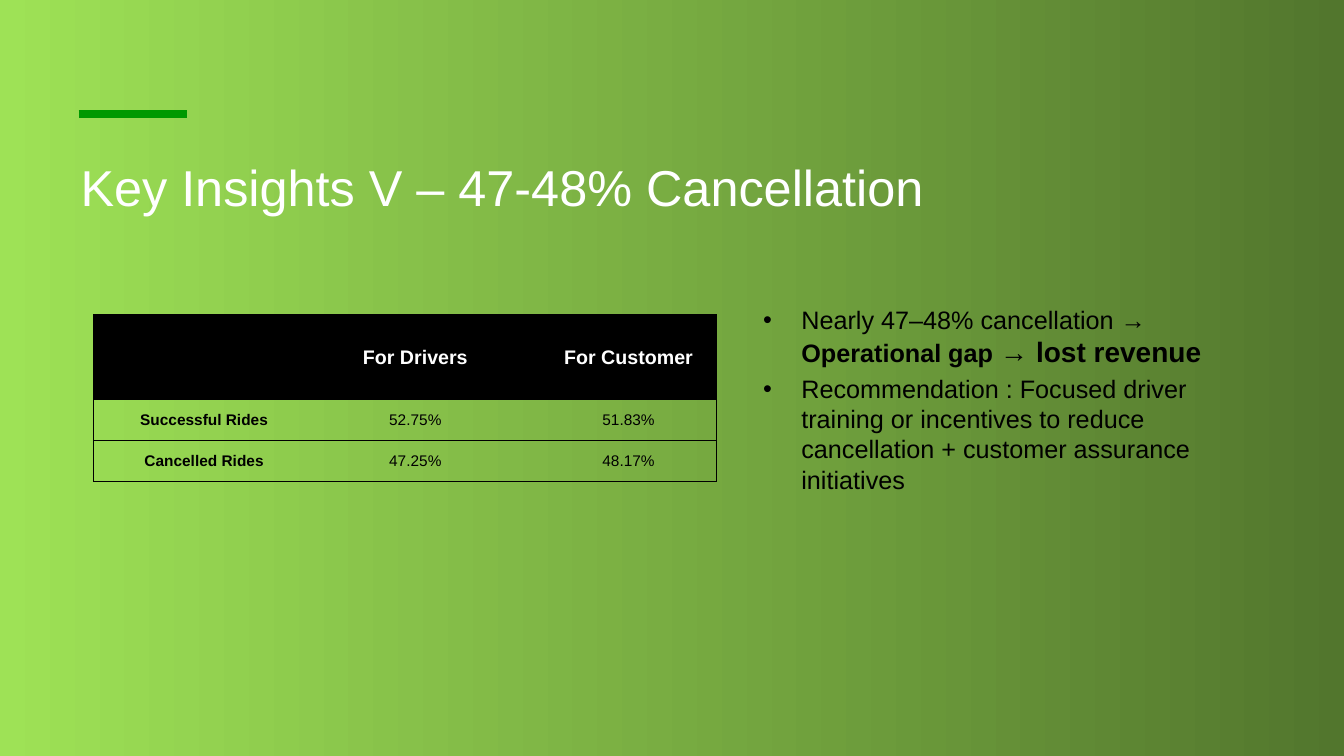
from pptx import Presentation
from pptx.dml.color import RGBColor
from pptx.enum.shapes import MSO_CONNECTOR
from pptx.enum.text import MSO_ANCHOR, PP_ALIGN
from pptx.oxml.ns import qn
from pptx.util import Inches, Pt
from lxml.etree import SubElement

COLORS = {
    "light": "9EE256",
    "dark": "52762D",
    "accent": "009900",
    "black": "000000",
    "white": "FFFFFF",
}


def format_run(run, size, color, bold=False):
    run.font.name = "Arial"
    run.font.size = Pt(size)
    run.font.bold = bold
    run.font.color.rgb = RGBColor.from_string(COLORS[color])


def add_border(cell, side):
    line = SubElement(cell._tc.get_or_add_tcPr(), qn(f"a:ln{side}"), w=str(Pt(0.5)))
    fill = SubElement(line, qn("a:solidFill"))
    SubElement(fill, qn("a:srgbClr"), val=COLORS["black"])


presentation = Presentation()
presentation.slide_width = Inches(13.33)
presentation.slide_height = Inches(7.5)
slide = presentation.slides.add_slide(presentation.slide_layouts[6])

# Background gradient
background = slide.background.fill
background.gradient()
background.gradient_angle = 0
for stop, position, color in zip(background.gradient_stops, (0, 1), ("light", "dark")):
    stop.position = position
    stop.color.rgb = RGBColor.from_string(COLORS[color])

# Title
title = slide.shapes.add_textbox(Inches(0.7), Inches(1.5), Inches(11.91), Inches(1.09))
title.text_frame.word_wrap = True
title.text_frame.text = "Key Insights V – 47-48% Cancellation"
format_run(title.text_frame.paragraphs[0].runs[0], 36, "white")

# Accent line
accent = slide.shapes.add_connector(
    MSO_CONNECTOR.STRAIGHT, Inches(0.78), Inches(1.13), Inches(1.85), Inches(1.13))
accent.line.color.rgb = RGBColor.from_string(COLORS["accent"])
accent.line.width = Pt(6)
SubElement(accent._element.spPr, qn("a:effectLst"))

# Insight bullets: text, size, bold
insights = [
    [("Nearly 47–48% cancellation → ", 18, False),
     ("Operational gap ", 18, True),
     ("→ ", 20, False),
     ("lost revenue", 20, True)],
    [("Recommendation : Focused driver training or incentives to reduce "
      "cancellation + customer assurance initiatives", 18, False)],
]
body = slide.shapes.add_textbox(Inches(7.47), Inches(2.97), Inches(5.14), Inches(3.92))
body.text_frame.word_wrap = True
for index, insight in enumerate(insights):
    paragraph = body.text_frame.paragraphs[0] if index == 0 else body.text_frame.add_paragraph()
    paragraph.space_before = Pt(3.6)
    properties = paragraph._p.get_or_add_pPr()
    properties.set("marL", str(Inches(0.38)))
    properties.set("indent", str(-Inches(0.38)))
    SubElement(properties, qn("a:buFont"), typeface="Arial")
    SubElement(properties, qn("a:buChar"), char="•")
    for text, size, bold in insight:
        run = paragraph.add_run()
        run.text = text
        format_run(run, size, "black", bold)

# Ride outcome table
rows = [
    ("", "For Drivers", "For Customer"),
    ("Successful Rides", "52.75%", "51.83%"),
    ("Cancelled Rides", "47.25%", "48.17%"),
]
frame = slide.shapes.add_table(
    3, 3, Inches(0.93), Inches(3.12), Inches(6.17), Inches(1.67))
table = frame.table
no_style = "{2D5ABB26-0587-4C30-8999-92F81FD0307C}"
table._tbl.tblPr.find(qn("a:tableStyleId")).text = no_style
for column, width in zip(table.columns, (1.94, 2.25, 1.98)):
    column.width = Inches(width)
for row, height in zip(table.rows, (0.84, 0.41, 0.41)):
    row.height = Inches(height)

for row_index, values in enumerate(rows):
    for column_index, value in enumerate(values):
        cell = table.cell(row_index, column_index)
        header = row_index == 0
        cell.vertical_anchor = MSO_ANCHOR.MIDDLE
        cell.margin_left = cell.margin_right = Inches(0.07)
        cell.margin_top = cell.margin_bottom = 0

        # Outer frame and row rules
        if column_index == 0:
            add_border(cell, "L")
        if column_index == 2:
            add_border(cell, "R")
        add_border(cell, "T")
        add_border(cell, "B")
        if header:
            cell.fill.solid()
            cell.fill.fore_color.rgb = RGBColor.from_string(COLORS["black"])
        else:
            cell.fill.background()

        cell.text_frame.text = value
        paragraph = cell.text_frame.paragraphs[0]
        paragraph.alignment = PP_ALIGN.CENTER
        paragraph.line_spacing = 1.05
        paragraph.space_before = Pt(4.1)
        properties = paragraph._p.get_or_add_pPr()
        properties.set("marL", str(Inches(0.5)))
        properties.set("indent", str(-Inches(0.25)))
        for run in paragraph.runs:
            format_run(run, 14 if header else 11, "white" if header else "black",
                       header or column_index == 0)

presentation.save("out.pptx")
